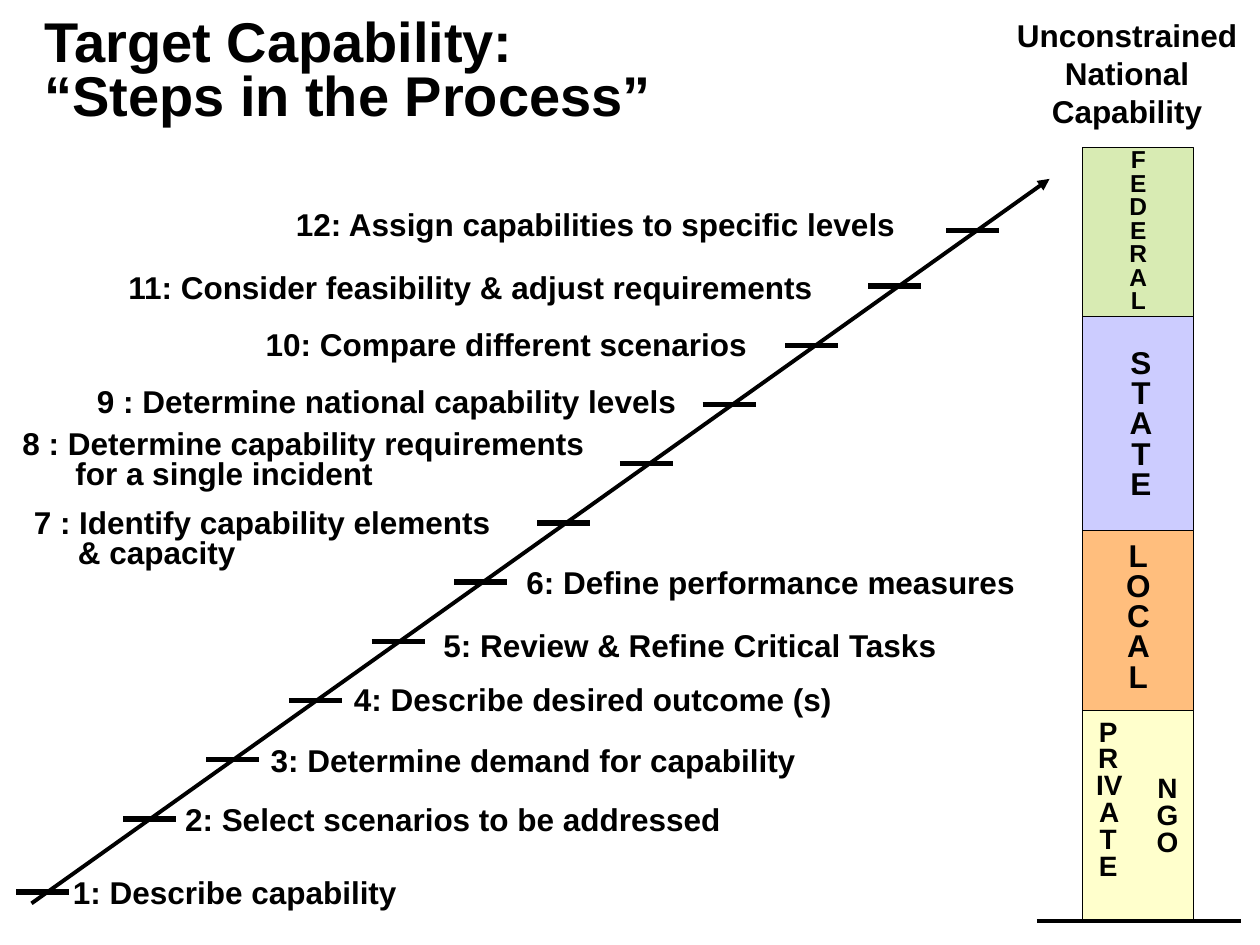
from lxml import etree
from pptx import Presentation
from pptx.dml.color import RGBColor
from pptx.enum.shapes import MSO_CONNECTOR, MSO_SHAPE
from pptx.enum.text import MSO_ANCHOR, MSO_AUTO_SIZE, PP_ALIGN
from pptx.oxml.ns import qn
from pptx.util import Inches, Pt

STRAIGHT, RECT = MSO_CONNECTOR.STRAIGHT, MSO_SHAPE.RECTANGLE
LEFT, CENTER, MIDDLE = PP_ALIGN.LEFT, PP_ALIGN.CENTER, MSO_ANCHOR.MIDDLE
FIT, NO_FIT = MSO_AUTO_SIZE.SHAPE_TO_FIT_TEXT, MSO_AUTO_SIZE.NONE
BLACK = RGBColor(0, 0, 0)
GREEN = RGBColor(0xD8, 0xEB, 0xB3)
LAVENDER = RGBColor(0xCC, 0xCC, 0xFF)
ORANGE = RGBColor(0xFF, 0xBE, 0x7D)
YELLOW = RGBColor(0xFF, 0xFF, 0xCC)

TITLE = "Target Capability:\v“Steps in the Process”"
GOAL = "Unconstrained\nNational\nCapability"
STEPS = [
    ("1: Describe capability", 0.48, 6.88, 3.75),
    ("2: Select scenarios to be addressed", 1.37, 6.3, 4.75),
    ("3: Determine demand for capability", 2.05, 5.83, 4.44),
    ("4: Describe desired outcome (s)", 2.71, 5.35, 4.75),
    ("5: Review & Refine Critical Tasks", 3.42, 4.92, 4.25),
    ("6: Define performance measures", 4.08, 4.42, 4.17),
    ("9 : Determine national capability levels", 0.67, 2.98, 4.92),
    ("10: Compare different scenarios", 2.01, 2.53, 4.11),
    ("11: Consider feasibility & adjust requirements", 0.92, 2.08, 5.75),
    ("12: Assign capabilities to specific levels", 2.25, 1.58, 5.08),
]
TWO_LINE_STEPS = [
    ("7 : Identify capability elements\n& capacity", 0.17, 4, 3.83, 0.35),
    ("8 : Determine capability requirements\nfor a single incident",
     0.08, 3.37, 4.83, 0.42),
]
LEVELS = [(GREEN, 1.34), (LAVENDER, 1.7), (ORANGE, 1.43), (YELLOW, 1.67)]
LEVEL_NAMES = [
    ("\n".join("FEDERAL"), 8.82, 1.14, 0.43, 1.41, 14),
    ("\n".join("STATE"), 8.84, 2.73, 0.43, 1.3, 18),
    ("\n".join("LOCAL"), 8.82, 4.26, 0.43, 1.3, 18),
    ("PRIVATE", 8.6, 5.67, 0.39, 1.6, 16),
    ("NGO", 9.07, 6.12, 0.39, 0.74, 16),
]
TICK_W = 0.42
FIRST_TICK, LAST_TICK = (0.13, 7.08), (7.51, 1.83)
SECOND_TICK, ELEVENTH_TICK = (0.98, 6.5), (6.89, 2.27)
BAR_X, BAR_Y, BAR_W = 8.59, 1.17, 0.88


def format_text(tf, size, align, spacing):
    for p in tf.paragraphs:
        p.alignment = align
        p.line_spacing = spacing
        for r in p.runs:
            r.font.name = "Arial"
            r.font.size = Pt(size)
            r.font.bold = True
            r.font.color.rgb = BLACK


def add_text(shapes, text, x, y, w, h, size=18, align=LEFT, spacing=1.0, wrap=True):
    tf = shapes.add_textbox(Inches(x), Inches(y), Inches(w), Inches(h)).text_frame
    tf.word_wrap = wrap
    tf.auto_size = FIT
    tf.text = text
    format_text(tf, size, align, spacing)
    return tf


def add_line(shapes, x1, y1, x2, y2, width):
    line = shapes.add_connector(STRAIGHT, Inches(x1), Inches(y1), Inches(x2), Inches(y2))
    line.line.color.rgb = BLACK
    line.line.width = Pt(width)
    etree.SubElement(line._element.spPr, qn("a:effectLst"))
    return line


prs = Presentation()
prs.slide_width, prs.slide_height = Inches(10), Inches(7.5)
s = prs.slides.add_slide(prs.slide_layouts[5])

title = s.shapes.title
title.left, title.top = Inches(0.25), Inches(0.25)
title.width, title.height = Inches(7.58), Inches(0.67)
tf = title.text_frame
tf.text = TITLE
tf.vertical_anchor = MIDDLE
tf.auto_size = NO_FIT
format_text(tf, 32, LEFT, 0.8)

arrow = add_line(s.shapes, 0.25, 7.17, 8.33, 1.42, 2.25)
etree.SubElement(arrow.line._get_or_add_ln(), qn("a:tailEnd"), type="triangle")
add_text(s.shapes, GOAL, 7.97, 0.08, 1.95, 1, align=CENTER, wrap=False)

for text, x, y, w in STEPS:
    add_text(s.shapes, text, x, y, w, 0.4)
for text, x, y, w, indent in TWO_LINE_STEPS:
    tf = add_text(s.shapes, text, x, y, w, 0.58, spacing=0.8)
    tf.paragraphs[1]._p.get_or_add_pPr().set("marL", str(Inches(indent)))

dx, dy = ((b - a) / 9 for a, b in zip(SECOND_TICK, ELEVENTH_TICK))
middle_ticks = [(SECOND_TICK[0] + i * dx, SECOND_TICK[1] + i * dy) for i in range(10)]
for x, y in [FIRST_TICK, *middle_ticks, LAST_TICK]:
    add_line(s.shapes, x, y, x + TICK_W, y, 3)

bar = s.shapes.add_group_shape().shapes
y = BAR_Y
for color, h in LEVELS:
    sp = bar.add_shape(RECT, Inches(BAR_X), Inches(y), Inches(BAR_W), Inches(h))
    sp.shadow.inherit = False
    sp.fill.solid()
    sp.fill.fore_color.rgb = color
    sp.line.color.rgb = BLACK
    sp.line.width = Pt(0.75)
    y += h
add_line(bar, 8.23, y, 9.85, y, 2)
for text, x, top, w, h, size in LEVEL_NAMES:
    add_text(bar, text, x, top, w, h, size, CENTER, 0.8)

prs.save("out.pptx")
